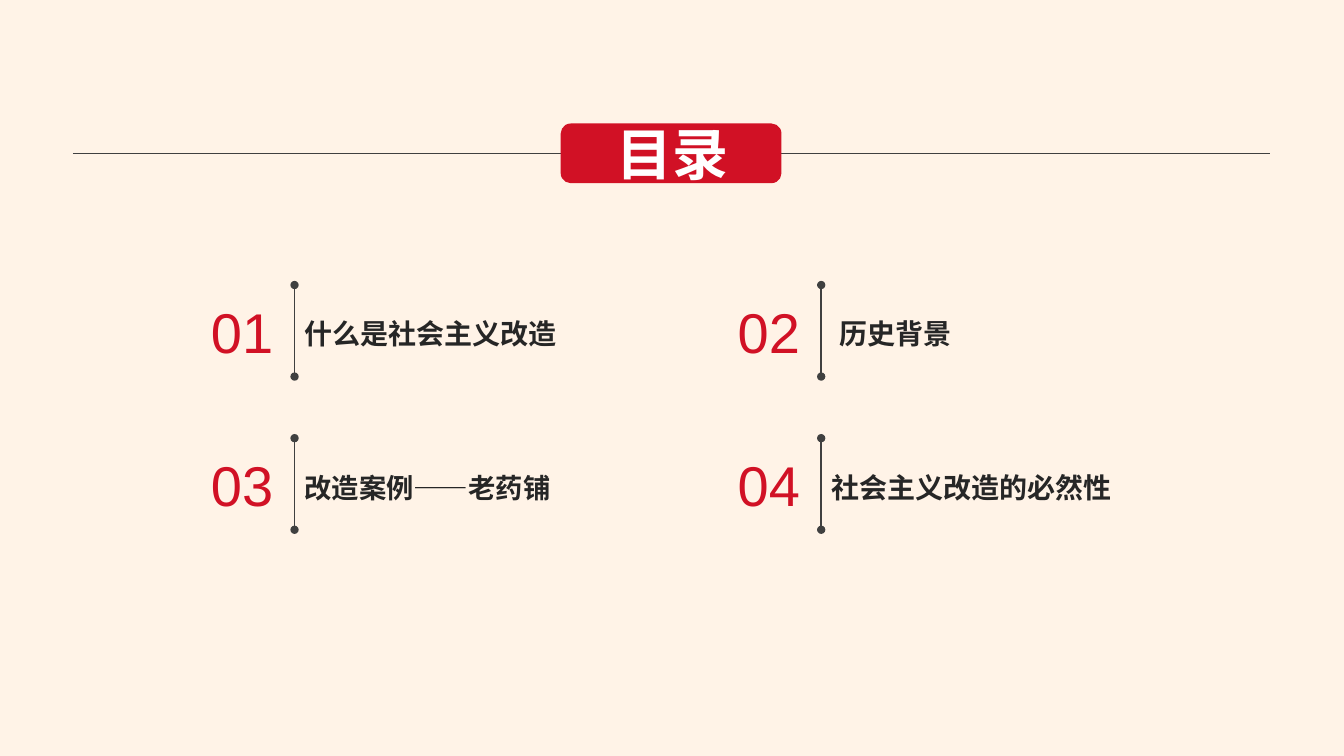
from pptx import Presentation
from pptx.dml.color import RGBColor
from pptx.enum import shapes, text
from pptx.oxml import ns
from pptx.util import Pt
from lxml import etree

CREAM, RED, WHITE, INK, GREY = "FFF3E7", "D11125", "FFFFFF", "262626", "404040"


def color(hex_code):
    return RGBColor.from_string(hex_code)


def add_text(slide, box, words, size=20, fill=INK, bold=False,
             align=text.PP_ALIGN.LEFT, anchor=text.MSO_ANCHOR.MIDDLE,
             insets=(0, 0, 0, 0)):
    frame = slide.shapes.add_textbox(*map(Pt, box)).text_frame
    frame.word_wrap = True
    frame.vertical_anchor = anchor
    (frame.margin_left, frame.margin_top,
     frame.margin_right, frame.margin_bottom) = map(Pt, insets)
    paragraph = frame.paragraphs[0]
    paragraph.alignment = align
    run = paragraph.add_run()
    run.text = words
    run.font.name = "Arial"
    run.font.size = Pt(size)
    run.font.bold = bold
    run.font.color.rgb = color(fill)


def add_rule(slide, start, end, width, dots=False):
    rule = slide.shapes.add_connector(
        shapes.MSO_CONNECTOR.STRAIGHT, *map(Pt, start + end))
    rule.line.width = Pt(width)
    rule.line.color.rgb = color(GREY)
    if dots:
        outline = rule.line._get_or_add_ln()
        for tip in ("a:headEnd", "a:tailEnd"):
            etree.SubElement(outline, ns.qn(tip), type="oval")
    etree.SubElement(rule._element.spPr, ns.qn("a:effectLst"))


def add_heading(slide, box, words):
    left, top, width, height = box
    middle = top + height / 2
    add_rule(slide, (left, middle), (left + width, middle), 0.25)

    # Red badge over the rule
    badge_width = 157.7
    badge_left = left + 348.5
    badge = slide.shapes.add_shape(
        shapes.MSO_SHAPE.FLOWCHART_ALTERNATE_PROCESS,
        *map(Pt, (badge_left, top, badge_width, height)))
    badge.shadow.inherit = False
    badge.fill.solid()
    badge.fill.fore_color.rgb = color(RED)
    badge.line.fill.background()

    # Title, a little taller than the badge
    add_text(slide, (badge_left + 24, top - 13, 111.6, height + 26), words,
             size=40, fill=WHITE, bold=True, align=text.PP_ALIGN.CENTER)


def add_entry(slide, box, number, topic, size=20, indent=0):
    left, top, width, height = box
    divider = left + 67
    add_text(slide, (left, top, 59, height), number, size=40, fill=RED,
             align=text.PP_ALIGN.CENTER)
    add_text(slide, (divider + indent, top + 18, width - 67, 28.8), topic,
             size=size, bold=True, anchor=text.MSO_ANCHOR.BOTTOM,
             insets=(7.2, 3.6, 7.2, 0))
    add_rule(slide, (divider, top), (divider, top + height), 1, dots=True)


def add_contents(slide, box, entries):
    left, top, width, height = box
    column_step, row_step = 376.2, 109.4
    entry_width, entry_height = width - column_step, height - row_step
    for index, entry in enumerate(entries):
        row, column = divmod(index, 2)
        add_entry(slide, (left + column * column_step, top + row * row_step,
                          entry_width, entry_height), **entry)


deck = Presentation()
deck.slide_width, deck.slide_height = Pt(960), Pt(540)
contents = deck.slides.add_slide(deck.slide_layouts[6])
contents.background.fill.solid()
contents.background.fill.fore_color.rgb = color(CREAM)

add_heading(contents, (52, 88.2, 855.2, 42.6), "目录")
add_contents(contents, (143.4, 203.6, 667.2, 174.8), [
    dict(number="01", topic="什么是社会主义改造"),
    dict(number="02", topic="历史背景", indent=6),
    dict(number="03", topic="改造案例——老药铺", size=19.5),
    dict(number="04", topic="社会主义改造的必然性"),
])

deck.save("out.pptx")
